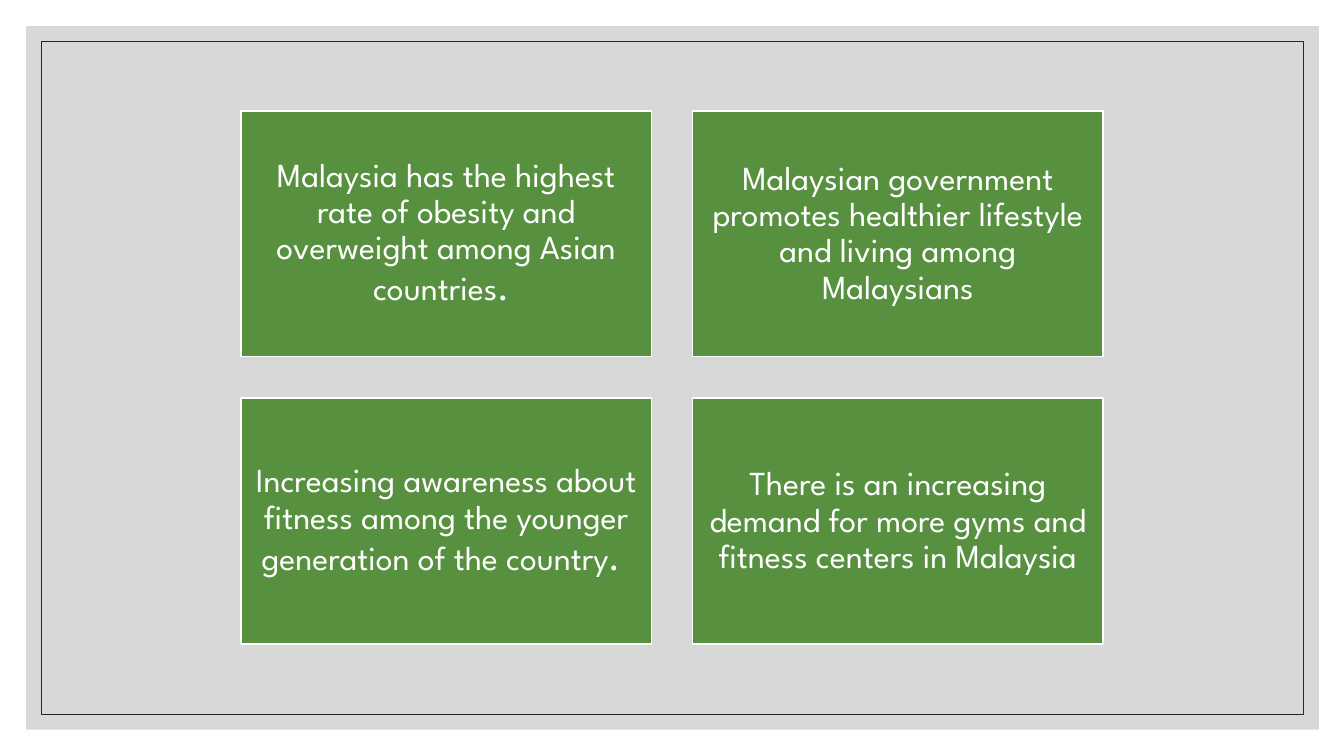
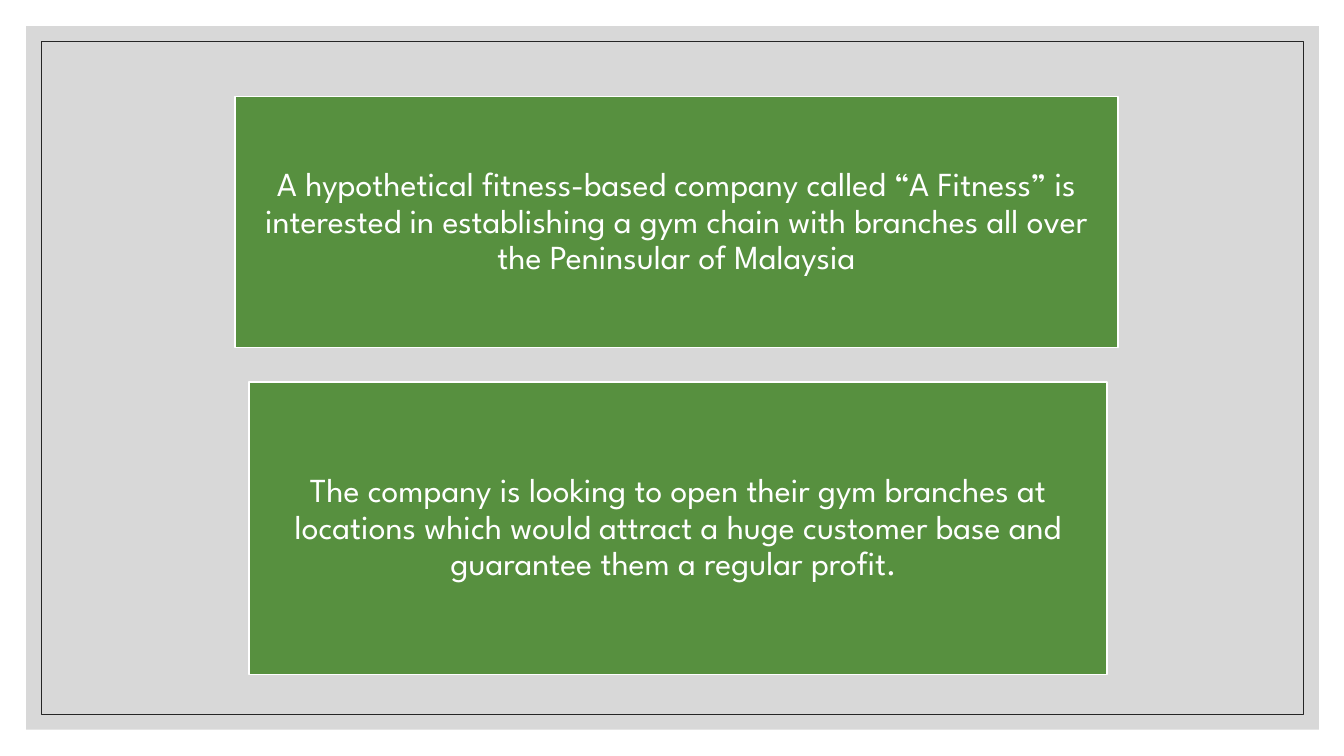
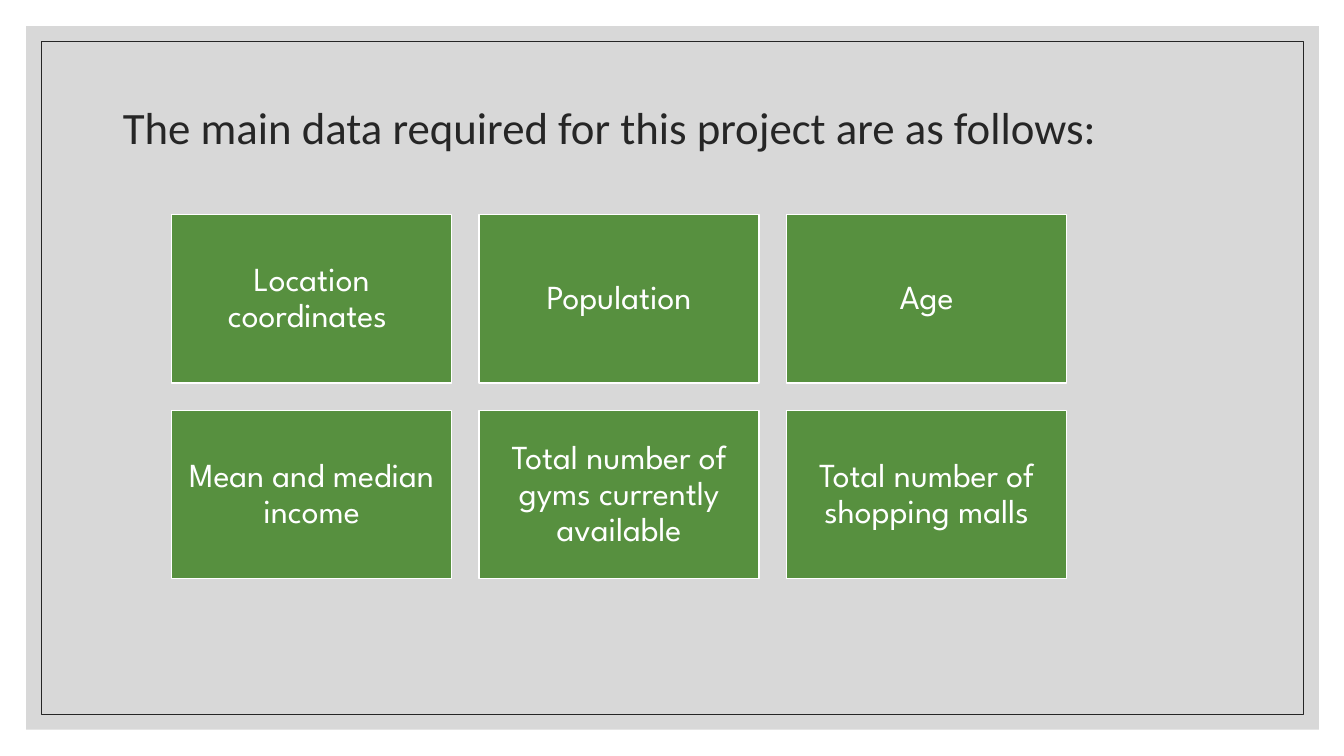
from lxml.etree import SubElement
from pptx import Presentation
from pptx.dml.color import RGBColor
from pptx.enum.shapes import MSO_SHAPE
from pptx.enum.text import MSO_ANCHOR, PP_ALIGN
from pptx.oxml.ns import qn
from pptx.util import Pt

PX = 9144  # 100 px to the inch
COLORS = {"panel": "BFBFBF", "ink": "262626", "card": "57903F", "white": "FFFFFF"}

# Grid: left, top, card width, card height, column pitch, row pitch, columns
market_grid = (239, 110, 407, 244, 448, 285, 2)
data_grid = (170, 213, 278, 167, 305, 194, 3)

# Each card text is a list of (words, size) runs
market_facts = [
    [("Malaysia has the highest rate of obesity and overweight among Asian countries", 24), (". ", 28)],
    [("Malaysian government promotes healthier lifestyle and living among Malaysians", 24)],
    [("Increasing awareness about fitness among the younger generation of the country", 24), (". ", 28)],
    [("There is an increasing demand for more gyms and fitness centers in Malaysia", 24)],
]
company_goals = [
    ((233, 96, 876, 249), [(
        "A hypothetical fitness-based company called “A Fitness” is interested in "
        "establishing a gym chain with branches all over the Peninsular of Malaysia", 24)]),
    ((247, 379, 851, 290), [(
        "The company is looking to open their gym branches at locations which would "
        "attract a huge customer base and guarantee them a regular profit. ", 24)]),
]
required_data = [
    [(words, 24)] for words in (
        "Location coordinates ", "Population", "Age", "Mean and median income",
        "Total number of gyms currently available", "Total number of shopping malls")
]


def add_box(slide, box, fill=None, line=None, weight=1):
    rect = slide.shapes.add_shape(MSO_SHAPE.RECTANGLE, *(n * PX for n in box))
    rect.shadow.inherit = False
    if fill:
        rect.fill.solid()
        rect.fill.fore_color.rgb = RGBColor.from_string(COLORS[fill])
    else:
        rect.fill.background()
    if line:
        rect.line.color.rgb = RGBColor.from_string(COLORS[line])
        rect.line.width = Pt(weight)
    else:
        rect.line.fill.background()
    return rect


def write(shape, runs, font="League Spartan", color="white", align=PP_ALIGN.CENTER,
          anchor=MSO_ANCHOR.MIDDLE, inset=10):
    frame = shape.text_frame
    frame.word_wrap = True
    frame.vertical_anchor = anchor
    frame.margin_left = frame.margin_right = inset * PX
    frame.margin_top = frame.margin_bottom = inset * PX
    paragraph = frame.paragraphs[0]
    paragraph.alignment = align
    paragraph.line_spacing = 0.9
    for words, size in runs:
        run = paragraph.add_run()
        run.text = words
        run.font.name = font
        run.font.size = Pt(size)
        run.font.color.rgb = RGBColor.from_string(COLORS[color])


deck = Presentation()
deck.slide_width, deck.slide_height = 1333 * PX, 750 * PX

cards_by_slide = [[], company_goals, []]
for cards, grid, texts in ((cards_by_slide[0], market_grid, market_facts),
                           (cards_by_slide[2], data_grid, required_data)):
    left, top, width, height, column_pitch, row_pitch, columns = grid
    for index, runs in enumerate(texts):
        row, column = divmod(index, columns)
        cards.append(((left + column * column_pitch, top + row * row_pitch, width, height), runs))

for cards in cards_by_slide:
    slide = deck.slides.add_slide(deck.slide_layouts[6])
    panel = add_box(slide, (26, 26, 1282, 698), fill="panel")
    panel_color = panel.fill._xPr.find(qn("a:solidFill"))[0]
    SubElement(panel_color, qn("a:alpha"), val="60000")
    add_box(slide, (41, 41, 1252, 668), line="ink", weight=0.5)
    for box, runs in cards:
        write(add_box(slide, box, fill="card", line="white"), runs)

heading = slide.shapes.add_textbox(*(n * PX for n in (112, 95, 1109, 114)))
write(heading, [("The main data required for this project are as follows:", 32)],
      font="Calibri", color="ink", align=PP_ALIGN.LEFT, anchor=MSO_ANCHOR.TOP)

deck.save("out.pptx")
